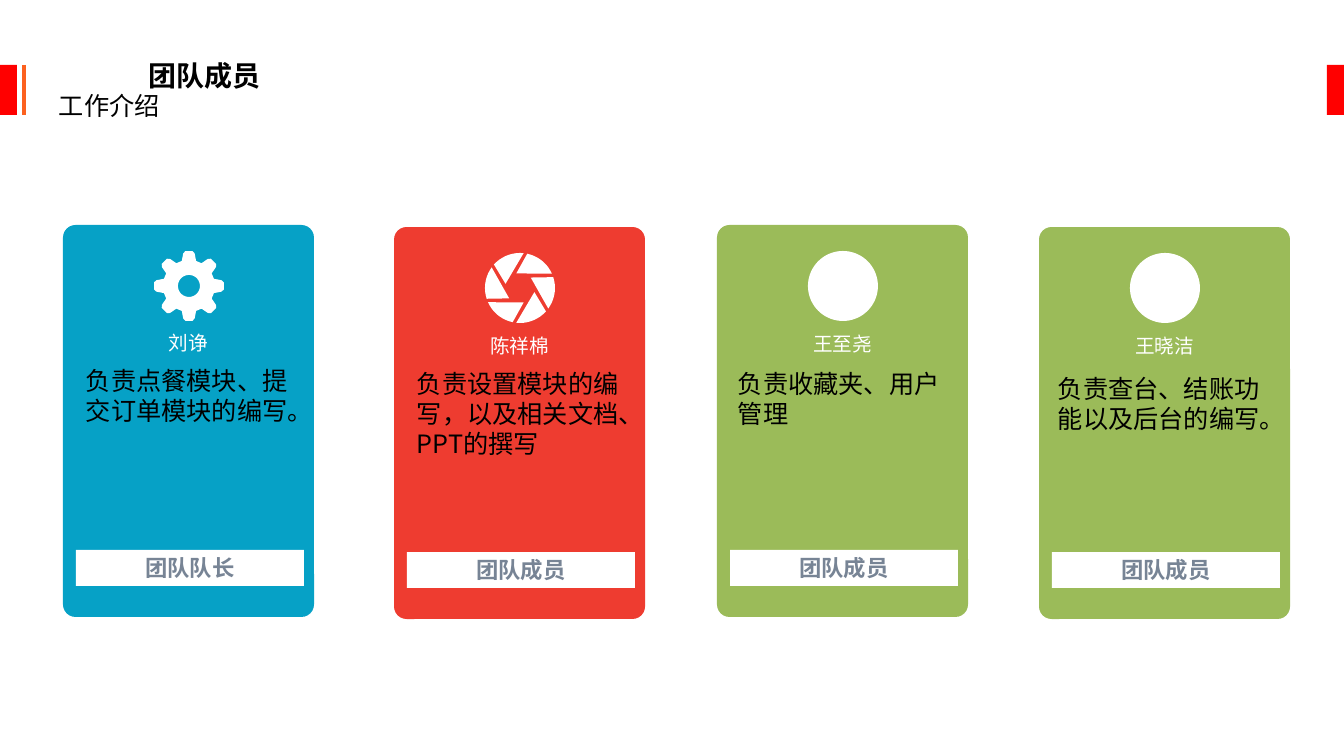
from math import cos, sin, radians
from lxml.etree import SubElement
from pptx import Presentation
from pptx.dml.color import RGBColor
from pptx.enum.shapes import MSO_CONNECTOR, MSO_SHAPE
from pptx.enum.text import MSO_ANCHOR, MSO_AUTO_SIZE, PP_ALIGN
from pptx.oxml.ns import qn
from pptx.util import Pt

PX = 9071  # EMU per pixel

THEME = {
    "font": "Noto Sans CJK SC",
    "black": "000000", "white": "FFFFFF", "slate": "778495",
    "blue": "06A1C6", "coral": "EE3C30", "green": "9BBB59",
    "red": "FF0000", "orange": "FC611F",
    "title": 20, "body": 18, "role": 16, "name": 14,
}


def paint(shape, color):
    shape.fill.solid()
    shape.fill.fore_color.rgb = RGBColor.from_string(THEME[color])
    shape.line.fill.background()
    shape.shadow.inherit = False
    return shape


def write(shape, text, size, color, bold=False, align=PP_ALIGN.CENTER,
          anchor=MSO_ANCHOR.MIDDLE, wrap=False, grow=False):
    frame = shape.text_frame
    frame.word_wrap = wrap
    frame.vertical_anchor = anchor
    frame.auto_size = MSO_AUTO_SIZE.SHAPE_TO_FIT_TEXT if grow else MSO_AUTO_SIZE.NONE
    paragraph = frame.paragraphs[0]
    paragraph.alignment = align
    run = paragraph.add_run()
    run.text = text
    run.font.name = THEME["font"]
    run.font.size = Pt(THEME[size])
    run.font.bold = bold
    run.font.color.rgb = RGBColor.from_string(THEME[color])
    SubElement(run.font._element, qn("a:ea"), typeface=THEME["font"])


deck = Presentation()
deck.slide_width, deck.slide_height = 1344 * PX, 756 * PX
slide = deck.slides.add_slide(deck.slide_layouts[6])
shapes = slide.shapes

# Header: edge bars, accent line, title and subtitle
for bar_left in (0, 1327):
    paint(shapes.add_shape(MSO_SHAPE.RECTANGLE, bar_left * PX, 65 * PX, 17 * PX, 50 * PX), "red")
accent = shapes.add_connector(MSO_CONNECTOR.STRAIGHT, 24 * PX, 65 * PX, 24 * PX, 115 * PX)
accent.line.color.rgb = RGBColor.from_string(THEME["orange"])
accent.line.width = Pt(3)
SubElement(accent._element.spPr, qn("a:effectLst"))

title = shapes.add_textbox(138 * PX, 54 * PX, 133 * PX, 44 * PX)
write(title, "团队成员", "title", "black", bold=True, anchor=MSO_ANCHOR.TOP, grow=True)
subtitle = shapes.add_textbox(49 * PX, 85 * PX, 122 * PX, 40 * PX)
write(subtitle, "工作介绍", "body", "black", align=PP_ALIGN.LEFT,
      anchor=MSO_ANCHOR.TOP, grow=True)

# Icon outlines as (radius, degrees) around the icon centre
gear_rim = [(radius, 45 * tooth + turn) for tooth in range(8)
            for radius, turn in ((26, -16), (33, -10), (35, -6), (35, 6), (33, 10), (26, 16))]
gear_hole = [(11, angle) for angle in range(0, 360, 10)]
shutter_blades = [[(35, 60 * blade - 24 - step) for step in range(0, 55, 6)]
                  + [(15, 60 * blade - 104)] for blade in range(6)]
disc = [(35, angle) for angle in range(0, 360, 5)]
ICONS = {"gear": [gear_rim, gear_hole], "shutter": shutter_blades, "disc": [disc]}

# Member cards: left, top, colour, icon, name, name top, duty, duty left, duty top, role
MEMBERS = [
    (63, 225, "blue", "gear", "刘诤", 326,
     "负责点餐模块、提交订单模块的编写。", 76, 360, "团队队长"),
    (394, 227, "coral", "shutter", "陈祥棉", 329,
     "负责设置模块的编写，以及相关文档、PPT的撰写", 407, 363, "团队成员"),
    (717, 225, "green", "disc", "王至尧", 327,
     "负责收藏夹、用户管理", 728, 363, "团队成员"),
    (1039, 227, "green", "disc", "王晓洁", 329,
     "负责查台、结账功能以及后台的编写。", 1048, 368, "团队成员"),
]
for left, top, color, icon, name, name_top, duty, duty_left, duty_top, role in MEMBERS:
    card = paint(shapes.add_shape(MSO_SHAPE.ROUNDED_RECTANGLE, left * PX, top * PX,
                                  251 * PX, 392 * PX), color)
    card.adjustments[0] = 0.05

    outlines = [[(round((left + 126 + radius * cos(radians(angle))) * PX),
                  round((top + 61 + radius * sin(radians(angle))) * PX))
                 for radius, angle in outline] for outline in ICONS[icon]]
    pen = shapes.build_freeform(*outlines[0][0])
    for outline in outlines:
        if outline is not outlines[0]:
            pen.move_to(*outline[0])
        pen.add_line_segments(outline[1:], close=True)
    paint(pen.convert_to_shape(), "white")

    name_box = shapes.add_textbox(left * PX, name_top * PX, 251 * PX, 34 * PX)
    write(name_box, name, "name", "white")

    duty_box = shapes.add_textbox(duty_left * PX, duty_top * PX, 228 * PX, 72 * PX)
    write(duty_box, duty, "body", "black", align=PP_ALIGN.LEFT,
          anchor=MSO_ANCHOR.TOP, wrap=True, grow=True)

    role_plate = paint(shapes.add_shape(MSO_SHAPE.RECTANGLE, (left + 13) * PX,
                                        (top + 325) * PX, 228 * PX, 36 * PX), "white")
    write(role_plate, role, "role", "slate", bold=True)

deck.save("out.pptx")
